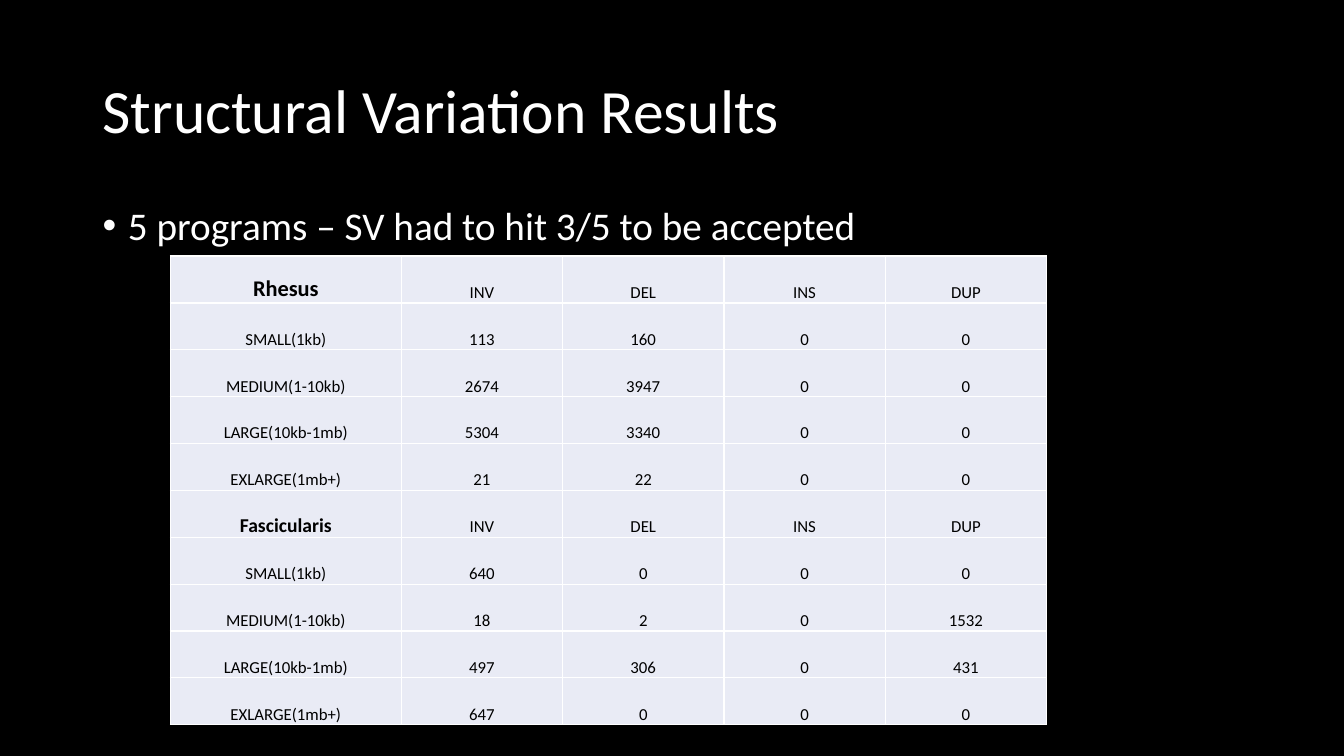
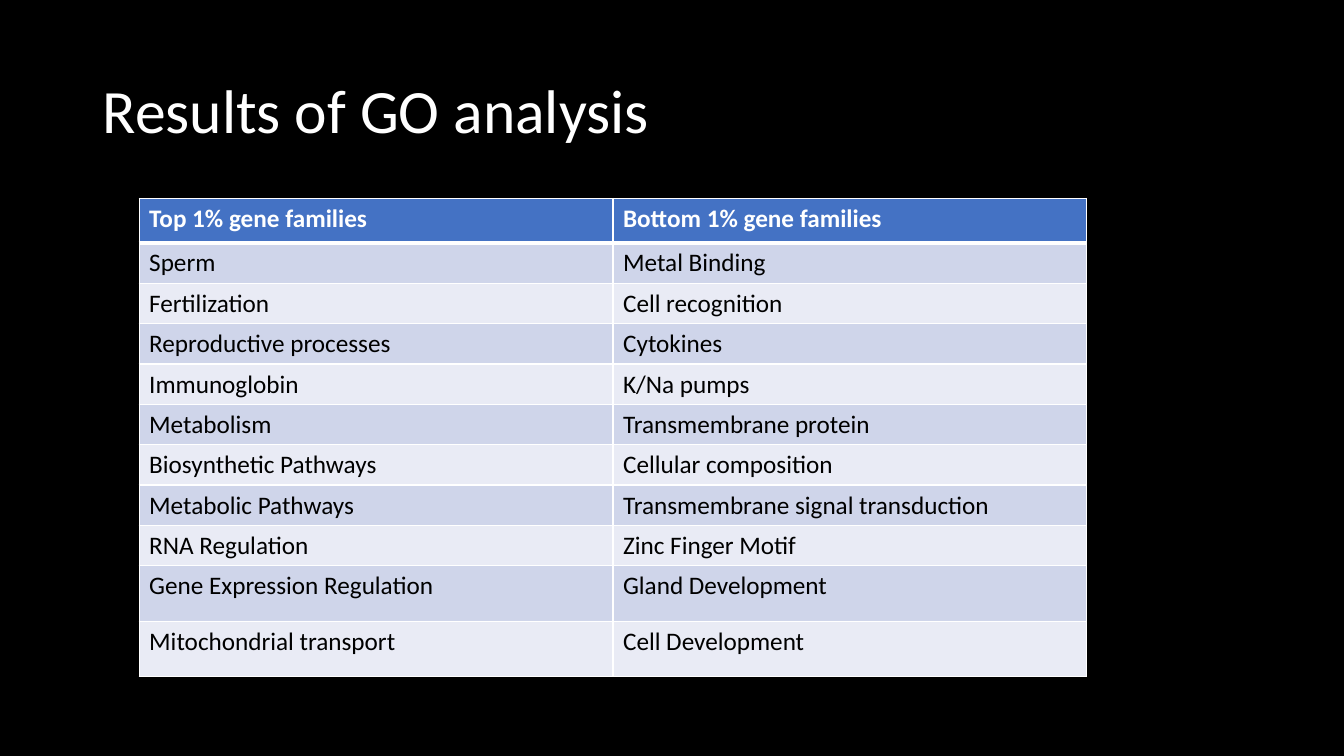
from lxml.etree import SubElement
from pptx import Presentation
from pptx.dml.color import RGBColor
from pptx.enum.text import MSO_ANCHOR as ANCHOR, PP_ALIGN as ALIGN
from pptx.oxml import parse_xml
from pptx.oxml.ns import nsdecls, qn
from pptx.util import Inches, Pt

# Shared look
BLACK = RGBColor(0x00, 0x00, 0x00)
WHITE = RGBColor(0xFF, 0xFF, 0xFF)
BLUE = RGBColor(0x44, 0x72, 0xC4)
BAND_DARK = RGBColor(0xCF, 0xD5, 0xEA)
BAND_LIGHT = RGBColor(0xE9, 0xEB, 0xF5)
FONT = "Calibri"
LEFT, TEXT_WIDTH = 0.92, 11.5
THIN, THICK = 1, 3

# Cell layout of the compact count table
COUNT_CELL = {
    "vertical_anchor": ANCHOR.BOTTOM,
    "margin_left": Inches(0.01),
    "margin_right": Inches(0.01),
    "margin_top": Inches(0.01),
    "margin_bottom": 0,
}

# Table contents
TYPES = ["INV", "DEL", "INS", "DUP"]
SIZES = ["SMALL(1kb)", "MEDIUM(1-10kb)", "LARGE(10kb-1mb)", "EXLARGE(1mb+)"]
SPECIES = [
    ("Rhesus", 16, [(113, 160, 0, 0), (2674, 3947, 0, 0),
                    (5304, 3340, 0, 0), (21, 22, 0, 0)]),
    ("Fascicularis", 14, [(640, 0, 0, 0), (18, 2, 0, 1532),
                          (497, 306, 0, 431), (647, 0, 0, 0)]),
]
GENE_FAMILIES = [
    ("Top 1% gene families", "Bottom 1% gene families"),
    ("Sperm", "Metal Binding"),
    ("Fertilization", "Cell recognition"),
    ("Reproductive processes", "Cytokines"),
    ("Immunoglobin", "K/Na pumps"),
    ("Metabolism", "Transmembrane protein"),
    ("Biosynthetic Pathways", "Cellular composition"),
    ("Metabolic Pathways", "Transmembrane signal transduction"),
    ("RNA Regulation", "Zinc Finger Motif"),
    ("Gene Expression Regulation", "Gland Development"),
    ("Mitochondrial transport", "Cell Development"),
]


def set_attrs(obj, values):
    for name, value in values.items():
        setattr(obj, name, value)


def write(p, text, size, color, bold=False):
    r = p.add_run()
    r.text = text
    set_attrs(r.font, {"name": FONT, "size": Pt(size), "bold": bold})
    r.font.color.rgb = color


def add_text(slide, text, top, height, size, anchor):
    sp = slide.shapes.add_textbox(Inches(LEFT), Inches(top),
                                  Inches(TEXT_WIDTH), Inches(height))
    tf = sp.text_frame
    set_attrs(tf, {"word_wrap": True, "vertical_anchor": anchor})
    p = tf.paragraphs[0]
    p.line_spacing = 0.9
    write(p, text, size, WHITE)
    return p


def add_bullet(slide, text):
    p = add_text(slide, text, 2, 4.76, 28, ANCHOR.TOP)
    p.space_before = Pt(10)
    pPr = p._p.get_or_add_pPr()
    pPr.set("marL", str(Inches(0.25)))
    pPr.set("indent", str(-Inches(0.25)))
    SubElement(pPr, qn("a:buFont"), typeface="Arial")
    SubElement(pPr, qn("a:buChar"), char="•")


def add_slide(prs, title):
    s = prs.slides.add_slide(prs.slide_layouts[6])
    s.background.fill.solid()
    s.background.fill.fore_color.rgb = BLACK
    add_text(s, title, 0.4, 1.45, 44, ANCHOR.MIDDLE)
    return s


def add_table(slide, left, top, widths, heights):
    table = slide.shapes.add_table(
        len(heights), len(widths), Inches(left), Inches(top),
        Inches(sum(widths)), Inches(sum(heights))).table
    set_attrs(table, {"first_row": False, "horz_banding": False})
    for col, width in zip(table.columns, widths):
        col.width = Inches(width)
    for row, height in zip(table.rows, heights):
        row.height = Inches(height)
    return table


def set_borders(cell, top=THIN, bottom=THIN):
    # Border lines come before the fill in the cell properties
    tcPr = cell._tc.get_or_add_tcPr()
    sides = {"L": THIN, "R": THIN, "T": top, "B": bottom}
    for i, (side, width) in enumerate(sides.items()):
        tcPr.insert(i, parse_xml(
            f'<a:ln{side} {nsdecls("a")} w="{Pt(width)}"><a:solidFill>'
            f'<a:srgbClr val="{WHITE}"/></a:solidFill></a:ln{side}>'))


def fill_cell(cell, text, size, fill, color=BLACK, bold=False, align=None):
    cell.fill.solid()
    cell.fill.fore_color.rgb = fill
    p = cell.text_frame.paragraphs[0]
    p.alignment = align
    write(p, text, size, color, bold)


def add_count_table(slide):
    rows = []
    for name, name_size, counts in SPECIES:
        rows.append((name, name_size, True, TYPES))
        rows += [(label, 12, False, values)
                 for label, values in zip(SIZES, counts)]
    widths = [2.29] + [1.6] * len(TYPES)
    table = add_table(slide, 1.69, 2.54, widths, [4.65 / len(rows)] * len(rows))
    for i, (label, size, bold, values) in enumerate(rows):
        for j, value in enumerate([label, *values]):
            cell = table.cell(i, j)
            set_attrs(cell, COUNT_CELL)
            is_label = j == 0
            fill_cell(cell, str(value), size if is_label else 12, BAND_LIGHT,
                      bold=bold and is_label, align=ALIGN.CENTER)
            set_borders(cell)


def add_family_table(slide):
    heights = [0.44] + [0.4] * 8 + [0.55] * 2
    table = add_table(slide, 1.38, 1.97, [4.7, 4.7], heights)
    for i, families in enumerate(GENE_FAMILIES):
        header = i == 0
        band = BAND_DARK if i % 2 else BAND_LIGHT
        for j, text in enumerate(families):
            cell = table.cell(i, j)
            fill_cell(cell, text, 18, BLUE if header else band,
                      WHITE if header else BLACK, bold=header)
            set_borders(cell, top=THICK if i == 1 else THIN,
                        bottom=THICK if header else THIN)


def main():
    prs = Presentation()
    set_attrs(prs, {"slide_width": Inches(13.33), "slide_height": Inches(7.5)})

    # Structural variation counts
    s = add_slide(prs, "Structural Variation Results")
    add_bullet(s, "5 programs – SV had to hit 3/5 to be accepted")
    add_count_table(s)

    # Gene families
    s = add_slide(prs, "Results of GO analysis")
    add_family_table(s)

    prs.save("out.pptx")


if __name__ == "__main__":
    main()
